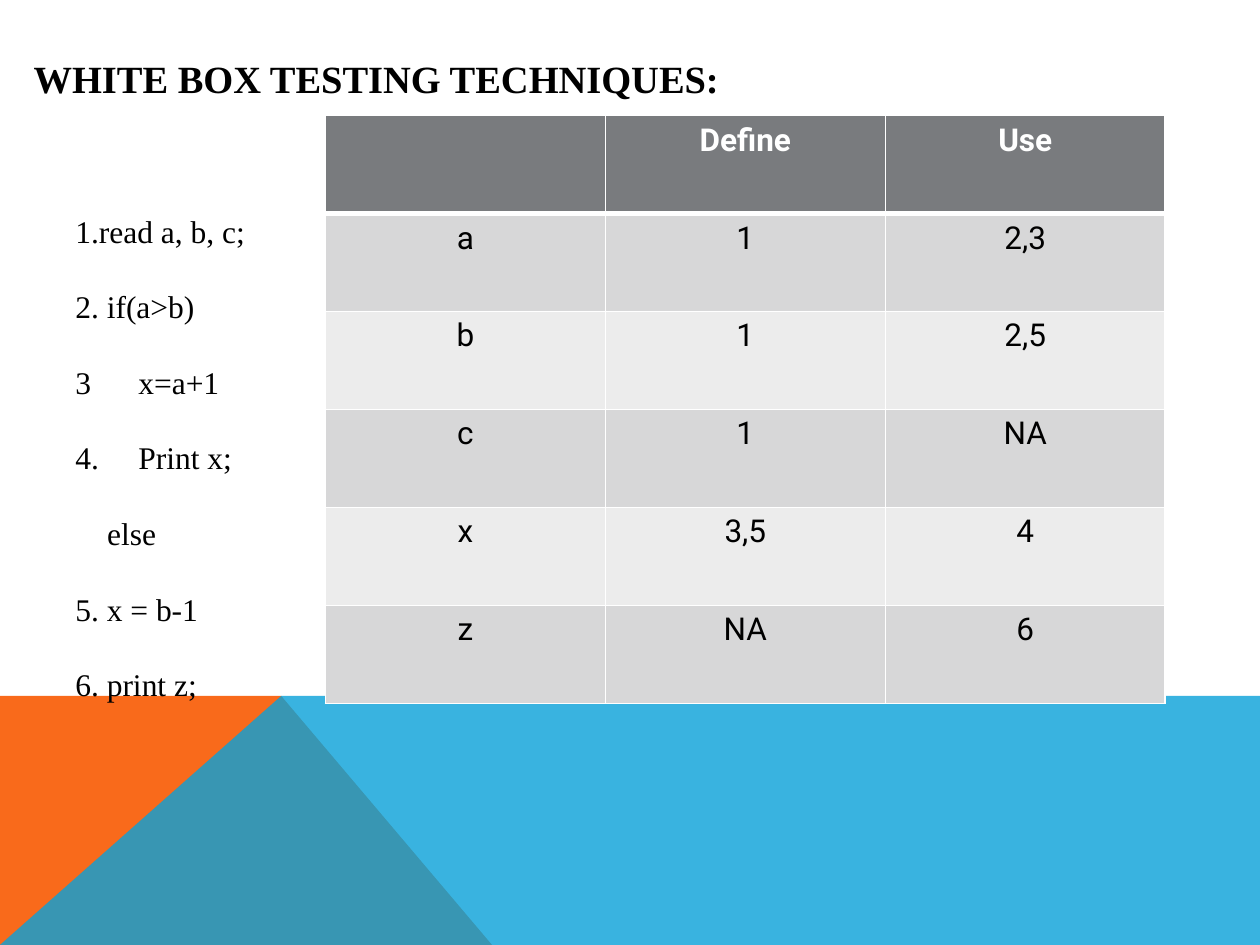
from lxml import etree
from pptx import Presentation
from pptx.dml.color import RGBColor
from pptx.enum.text import MSO_ANCHOR, PP_ALIGN
from pptx.oxml.ns import qn
from pptx.util import Cm, Pt

MIDDLE = MSO_ANCHOR.MIDDLE
CENTER = PP_ALIGN.CENTER

COLORS = {
    "orange": "F96A1B",
    "blue": "08A1D9",
    "header": "797B7E",
    "odd_row": "D7D7D8",
    "even_row": "ECECEC",
    "white": "FFFFFF",
    "black": "000000",
}
SERIF = "Times New Roman"
SANS = "Roboto"


def style_text(paragraph, font_name, size, color="black", bold=False):
    for run in paragraph.runs:
        run.font.name = font_name
        run.font.size = Pt(size)
        run.font.bold = bold
        run.font.color.rgb = RGBColor.from_string(COLORS[color])


def add_band(points, color):
    """Draw a closed outline without a line, from points in centimetres."""
    corners = [(Cm(x), Cm(y)) for x, y in points]
    builder = slide.shapes.build_freeform(*corners[0], scale=1.0)
    builder.add_line_segments(corners[1:], close=True)
    band = builder.convert_to_shape()
    band.shadow.inherit = False
    band.fill.solid()
    band.fill.fore_color.rgb = RGBColor.from_string(COLORS[color])
    band.line.fill.background()
    return band


prs = Presentation()
prs.slide_width = Cm(25.4)
prs.slide_height = Cm(19.05)
slide = prs.slides.add_slide(prs.slide_layouts[6])

# Coloured bands along the bottom
band_top, bottom, peak = 14.03, 19.05, 5.67
add_band([(0, bottom), (0, band_top), (peak, band_top), (9.92, bottom)], "orange")
blue_band = add_band(
    [(0, bottom), (peak, band_top), (25.4, band_top), (25.4, bottom)], "blue")
blue_fill = blue_band._element.spPr.find(qn("a:solidFill"))[0]
etree.SubElement(blue_fill, qn("a:alpha"), val="80000")

# Title
title = slide.shapes.add_textbox(Cm(0.43), Cm(0.82), Cm(20.88), Cm(1.52)).text_frame
title.word_wrap = True
title.vertical_anchor = MIDDLE
title.text = "WHITE BOX TESTING TECHNIQUES:"
style_text(title.paragraphs[0], SERIF, 22, bold=True)

# Program listing: a tab leads to the body of the branch
program = [
    "1.read a, b, c;",
    "2. if(a>b)",
    "3\tx=a+1",
    "4.\tPrint x;",
    "else",
    "5. x = b-1",
    "6. print z;",
]
listing = slide.shapes.add_textbox(Cm(1.27), Cm(3.38), Cm(12.7), Cm(10.8)).text_frame
listing.word_wrap = True
for number, statement in enumerate(program):
    paragraph = listing.add_paragraph() if number else listing.paragraphs[0]
    paragraph.text = statement
    paragraph.line_spacing = 2.0
    style_text(paragraph, SERIF, 18)
    properties = paragraph._p.get_or_add_pPr()
    if statement == "else":
        properties.set("marL", str(Cm(0.64)))
    if "\t" in statement:
        tabs = etree.SubElement(properties, qn("a:tabLst"))
        etree.SubElement(tabs, qn("a:tab"), pos=str(Cm(1.27)), algn="l")

# Where each variable is defined and used
def_use = [
    ("", "Define", "Use"),
    ("a", "1", "2,3"),
    ("b", "1", "2,5"),
    ("c", "1", "NA"),
    ("x", "3,5", "4"),
    ("z", "NA", "6"),
]
table = slide.shapes.add_table(
    len(def_use), 3, Cm(6.56), Cm(2.33), Cm(16.93), Cm(11.85)).table
for row_index, row in enumerate(def_use):
    is_header = row_index == 0
    row_color = "header" if is_header else "odd_row" if row_index % 2 else "even_row"
    border_widths = {
        "lnL": 1,
        "lnR": 1,
        "lnT": 3 if row_index == 1 else 1,
        "lnB": 3 if is_header else 1,
    }
    for column_index, entry in enumerate(row):
        cell = table.cell(row_index, column_index)
        cell.text = entry
        paragraph = cell.text_frame.paragraphs[0]
        paragraph.alignment = CENTER
        style_text(paragraph, SANS, 18, "white" if is_header else "black", is_header)
        cell_properties = cell._tc.get_or_add_tcPr()
        for side, width in border_widths.items():
            border = etree.SubElement(cell_properties, qn(f"a:{side}"), w=str(Pt(width)))
            border_fill = etree.SubElement(border, qn("a:solidFill"))
            etree.SubElement(border_fill, qn("a:srgbClr"), val=COLORS["white"])
        cell.fill.solid()
        cell.fill.fore_color.rgb = RGBColor.from_string(COLORS[row_color])

prs.save("out.pptx")
